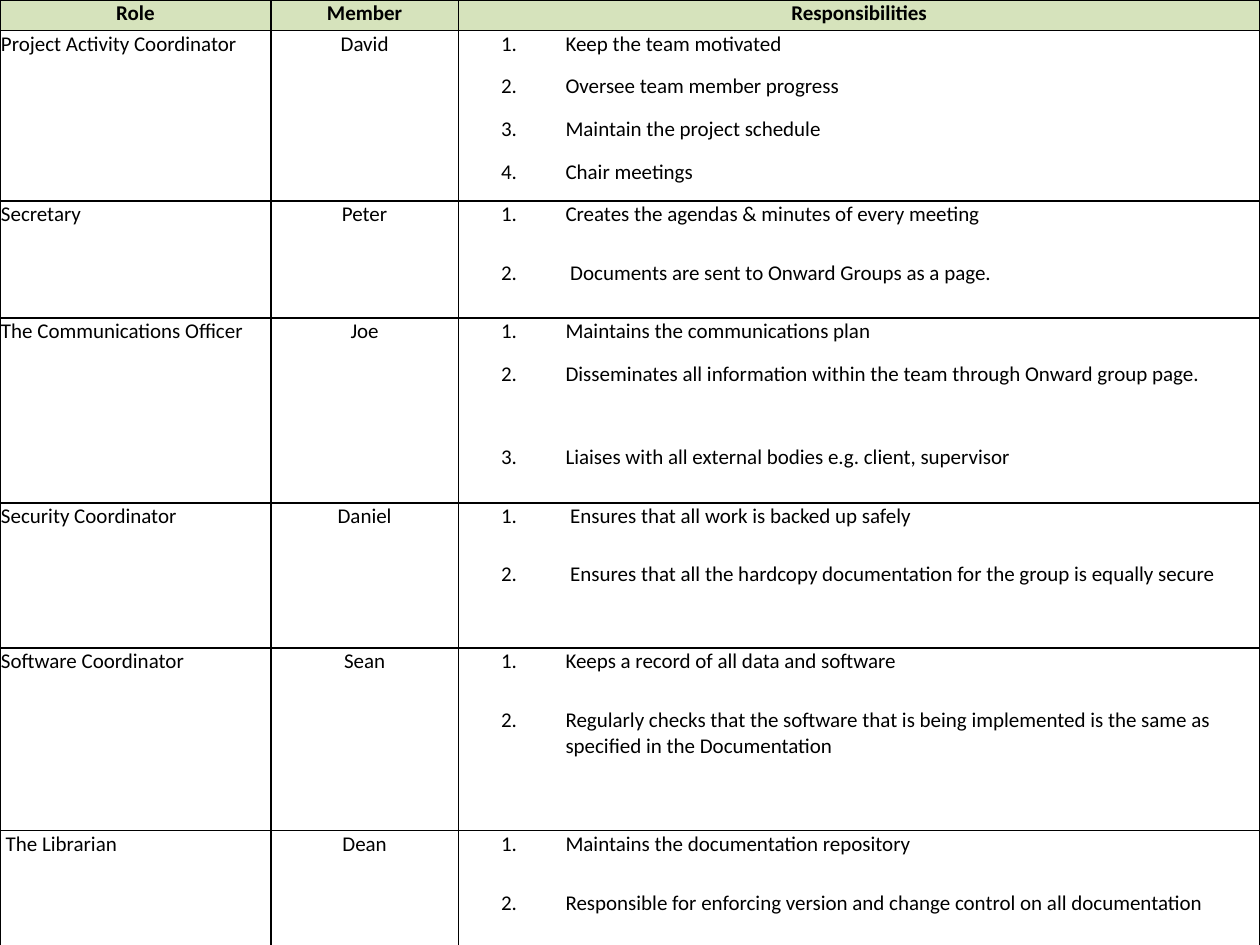
"""Build a slide with a table of team roles, members and responsibilities."""
from dataclasses import dataclass

from pptx import Presentation
from pptx.dml.color import RGBColor
from pptx.enum.text import PP_ALIGN as Align
from pptx.oxml.ns import qn
from pptx.table import Table, _Cell as Cell
from pptx.util import Cm, Pt
from lxml.etree import SubElement as Sub

INK = "000000"
HEAD = "D6E3BC"
FONT = "Calibri"
COLS = (5.46, 3.78, 16.16)
TOP = 0.61
PAD = 0.02
INSET = 0.86
HANG = 1.3


@dataclass
class Duty:
    text: str
    high: float


@dataclass
class Role:
    name: str
    member: str
    duties: list[Duty]


TITLES = ("Role", "Member", "Responsibilities")
ROLES = [
    Role("Project Activity Coordinator", "David", [
        Duty("Keep the team motivated", 0.86),
        Duty("Oversee team member progress", 0.86),
        Duty("Maintain the project schedule", 0.86),
        Duty("Chair meetings", 0.86),
    ]),
    Role("Secretary", "Peter", [
        Duty("Creates the agendas & minutes of every meeting", 1.19),
        Duty(" Documents are sent to Onward Groups as a page.", 1.17),
    ]),
    Role("The Communications Officer", "Joe", [
        Duty("Maintains the communications plan", 0.86),
        Duty("Disseminates all information within the team through "
             "Onward group page.", 1.68),
        Duty("Liaises with all external bodies e.g. client, supervisor", 1.19),
    ]),
    Role("Security Coordinator", "Daniel", [
        Duty(" Ensures that all work is backed up safely", 1.17),
        Duty(" Ensures that all the hardcopy documentation for the group "
             "is equally secure", 1.75),
    ]),
    Role("Software Coordinator", "Sean", [
        Duty("Keeps a record of all data and software", 1.19),
        Duty("Regularly checks that the software that is being implemented "
             "is the same as specified in the Documentation", 2.49),
    ]),
    Role(" The Librarian", "Dean", [
        Duty("Maintains the documentation repository", 1.19),
        Duty("Responsible for enforcing version and change control on all "
             "documentation", 1.14),
    ]),
]


def color(code: str) -> RGBColor:
    """Turn a hex string into a colour."""
    return RGBColor.from_string(code)


def edge(cell: Cell, sides: str) -> None:
    """Rule the named sides of a cell and clear the others."""
    props = cell._tc.get_or_add_tcPr()
    for side in "LRTB":
        line = Sub(props, qn(f"a:ln{side}"), w=str(Pt(1)))
        if side in sides:
            fill = Sub(line, qn("a:solidFill"))
            Sub(fill, qn("a:srgbClr"), val=INK)
        else:
            Sub(line, qn("a:noFill"))


def write(cell: Cell, text: str, align: Align = Align.LEFT,
          bold: bool = False, left: float = PAD) -> None:
    """Put one formatted run in a cell."""
    cell.margin_left = Cm(left)
    cell.margin_right = cell.margin_top = Cm(PAD)
    cell.margin_bottom = 0
    para = cell.text_frame.paragraphs[0]
    para.alignment = align
    run = para.add_run()
    run.text = text
    font = run.font
    font.name, font.size, font.bold = FONT, Pt(12), bold
    font.color.rgb = color(INK)


def number(cell: Cell, start: int) -> None:
    """Number the paragraph of a cell with a hanging indent."""
    props = cell.text_frame.paragraphs[0]._p.get_or_add_pPr()
    props.set("marL", str(Cm(HANG)))
    props.set("indent", str(-Cm(HANG)))
    Sub(props, qn("a:buFont"), typeface=FONT)
    Sub(props, qn("a:buAutoNum"), type="arabicPeriod", startAt=str(start))


def draw_head(table: Table) -> None:
    """Fill in the heading row."""
    table.rows[0].height = Cm(TOP)
    for col, title in enumerate(TITLES):
        cell = table.cell(0, col)
        edge(cell, "LRTB")
        cell.fill.solid()
        cell.fill.fore_color.rgb = color(HEAD)
        write(cell, title, Align.CENTER, True)


def draw_role(table: Table, role: Role, first: int) -> int:
    """Fill in the rows of a role and return the next free row."""
    last = first + len(role.duties) - 1
    for row, duty in enumerate(role.duties, first):
        table.rows[row].height = Cm(duty.high)
        sides = "LR" + "T" * (row == first) + "B" * (row == last)
        for col in range(len(COLS)):
            cell = table.cell(row, col)
            edge(cell, sides)
            cell.fill.background()
        write(cell, duty.text, left=INSET)
        number(cell, row - first + 1)
    for col in range(2):
        table.cell(first, col).merge(table.cell(last, col))
    write(table.cell(first, 0), role.name)
    write(table.cell(first, 1), role.member, Align.CENTER)
    return last + 1


def main() -> None:
    """Build and save the slide."""
    deck = Presentation()
    deck.slide_width, deck.slide_height = Cm(25.4), Cm(19.05)
    slide = deck.slides.add_slide(deck.slide_layouts[6])
    count = 1 + sum(len(role.duties) for role in ROLES)
    frame = slide.shapes.add_table(count, len(COLS), 0, 0,
                                   deck.slide_width, deck.slide_height)
    table = frame.table
    table.first_row = table.horz_banding = False
    for col, wide in zip(table.columns, COLS):
        col.width = Cm(wide)
    draw_head(table)
    row = 1
    for role in ROLES:
        row = draw_role(table, role, row)
    deck.save("out.pptx")


if __name__ == "__main__":
    main()
